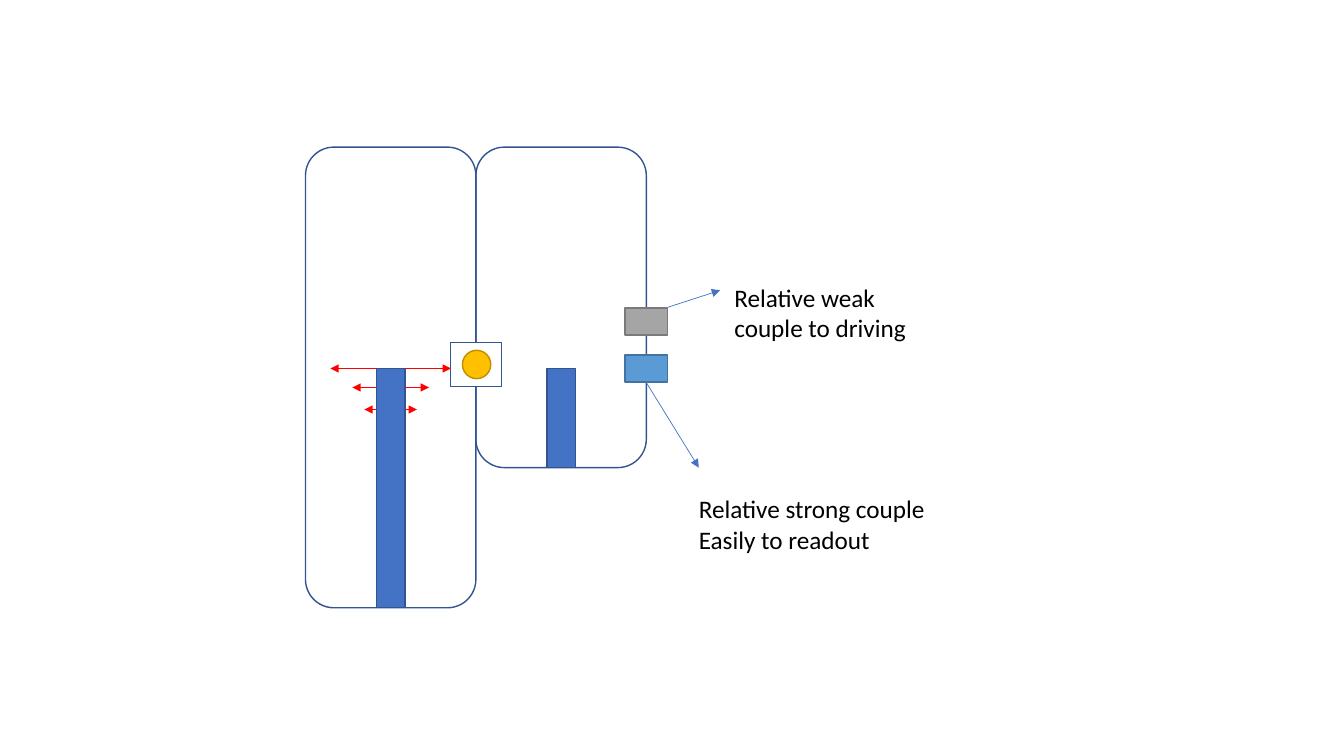
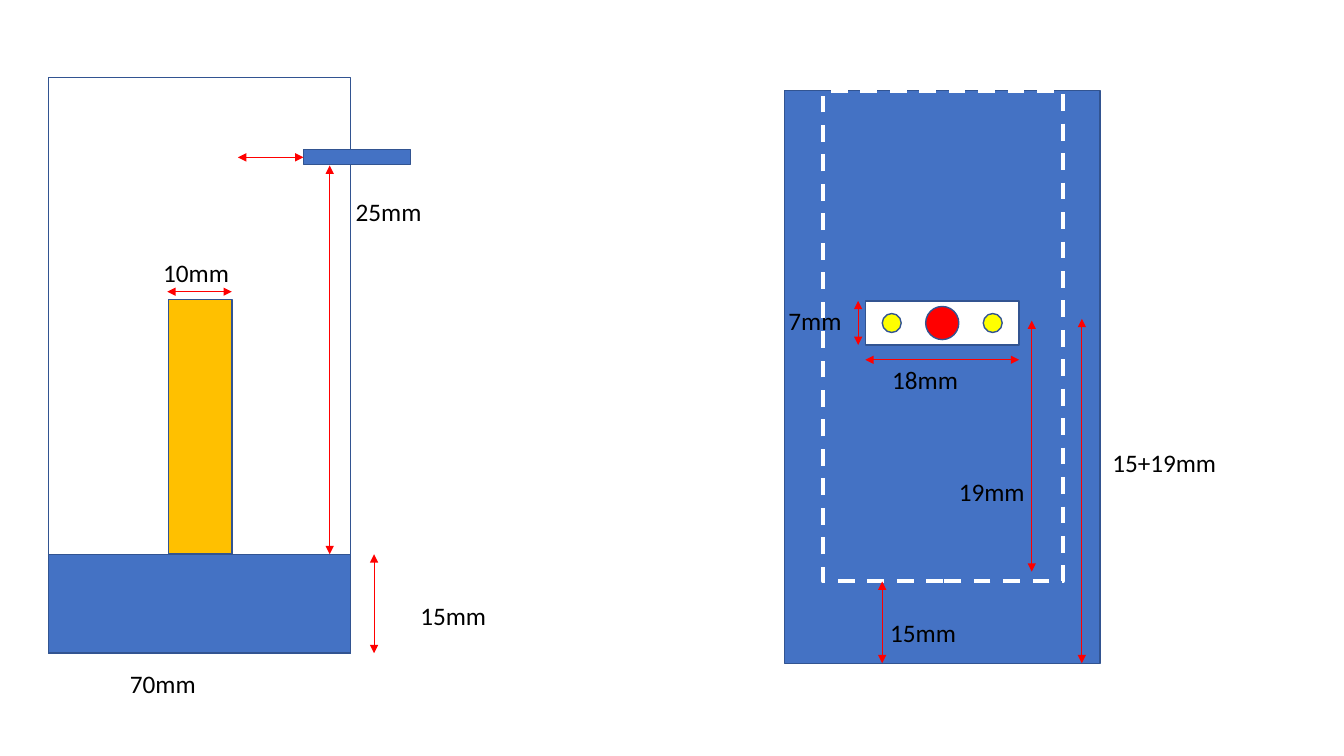
from dataclasses import dataclass

from pptx import Presentation
from pptx import util as u
from pptx.dml.color import RGBColor
from pptx.enum import dml, shapes, text
from pptx.oxml import parse_xml
from pptx.oxml.ns import nsdecls


@dataclass(frozen=True)
class Theme:
    font: str = "Calibri"
    size: int = 18
    ink: str = "000000"
    white: str = "FFFFFF"
    blue: str = "4472C4"
    edge: str = "325491"
    gold: str = "FFC000"
    ochre: str = "BD8E00"
    sky: str = "5B9BD5"
    steel: str = "43739E"
    gray: str = "A5A5A5"
    slate: str = "7A7A7A"
    red: str = "FF0000"
    yellow: str = "FFFF00"
    thin: float = 0.5
    line: float = 1
    thick: float = 3


T = Theme()
KIND = shapes.MSO_SHAPE


@dataclass
class Pane:
    """A box on a slide, in inches, cut into columns and rows."""
    slide: object
    left: float
    top: float
    width: float
    height: float
    cols: int
    rows: int

    def wide(self, n):
        return u.Inches(n * self.width / self.cols)

    def high(self, n):
        return u.Inches(n * self.height / self.rows)

    def spot(self, x, y):
        return u.Inches(self.left) + self.wide(x), u.Inches(self.top) + self.high(y)

    def draw(self, kind, spot, size, fill, edge, width):
        shape = self.slide.shapes.add_shape(kind, *spot, *size)
        shape.shadow.inherit = False
        if fill:
            shape.fill.solid()
            shape.fill.fore_color.rgb = RGBColor.from_string(fill)
        else:
            shape.fill.background()
        shape.line.color.rgb = RGBColor.from_string(edge)
        shape.line.width = u.Pt(width)
        return shape

    def rect(self, x, y, w, h, fill=None, edge=T.edge, width=T.line, kind=KIND.RECTANGLE):
        size = self.wide(w), self.high(h)
        return self.draw(kind, self.spot(x, y), size, fill, edge, width)

    def block(self, x, y, w, h, fill, edge=T.edge):
        """A rectangle centred on a point."""
        return self.rect(x - w / 2, y - h / 2, w, h, fill, edge)

    def disc(self, x, y, w, fill, edge=T.edge):
        """A circle centred on a point, its diameter given in columns."""
        side = self.wide(w)
        left, top = self.spot(x, y)
        spot = left - side // 2, top - side // 2
        return self.draw(KIND.OVAL, spot, (side, side), fill, edge, T.line)

    def arrow(self, start, end, color=T.red, width=T.thin, both=True):
        link = self.slide.shapes.add_connector(
            shapes.MSO_CONNECTOR.STRAIGHT, *self.spot(*start), *self.spot(*end))
        link.line.color.rgb = RGBColor.from_string(color)
        link.line.width = u.Pt(width)
        outline = link.line._get_or_add_ln()
        for tag in ("headEnd", "tailEnd") if both else ("tailEnd",):
            outline.append(parse_xml(f'<a:{tag} {nsdecls("a")} type="triangle"/>'))
        link._element.spPr.append(parse_xml(f'<a:effectLst {nsdecls("a")}/>'))

    def label(self, x, y, w, *lines):
        size = self.wide(w), u.Inches(0.1 + 0.3 * len(lines))
        frame = self.slide.shapes.add_textbox(*self.spot(x, y), *size).text_frame
        frame.word_wrap = True
        frame.auto_size = text.MSO_AUTO_SIZE.SHAPE_TO_FIT_TEXT
        frame.text = "\n".join(lines)
        for par in frame.paragraphs:
            par.font.name = T.font
            par.font.size = u.Pt(T.size)
            par.font.color.rgb = RGBColor.from_string(T.ink)


def pair(slide):
    """Two coupled cavities with their ports."""
    box = Pane(slide, 3.03, 1.46, 3.38, 4.57, cols=24, rows=46)
    tip = 22.1

    # Cavities, each with a pin on its floor
    floors = 46, 32
    for i, floor in enumerate(floors):
        box.rect(12 * i, 0, 12, floor, kind=KIND.ROUNDED_RECTANGLE)
        box.rect(12 * i + 5, tip, 2, floor - tip, T.blue)

    # Coupling window
    box.block(12, 21.7, 3.6, 4.4, T.white)
    box.disc(12.05, 21.7, 2, T.gold, T.ochre)

    # Field at the tall pin
    for y, reach in ((tip, 3.25), (24, 1.7), (26.2, 0.85)):
        box.arrow((5, y), (5 - reach, y), both=False)
        box.arrow((7, y), (7 + reach, y), both=False)

    # Ports and their notes
    box.block(24, 22.1, 3, 2.7, T.sky, T.steel)
    box.block(24, 17.4, 3, 2.7, T.gray, T.slate)
    box.arrow((24, 23.5), (27.7, 32), T.blue, both=False)
    box.arrow((25.5, 16), (29.2, 14.3), T.blue, both=False)
    box.label(27, 34.1, 17.6, "Relative strong couple", "Easily to readout")
    box.label(29.5, 13, 16.4, "Relative weak couple to driving")


def side(slide):
    """Cavity seen from the side, with its sizes."""
    box = Pane(slide, 0.48, 0.77, 3, 5.71, cols=30, rows=57)
    floor, end = 47.2, 57

    # Walls, base, post and probe
    box.rect(0, 0, 30, end)
    box.rect(0, floor, 30, end - floor, T.blue)
    box.rect(11.9, 22, 6.3, floor - 22, T.gold)
    box.rect(25.3, 7.1, 10.6, 1.5, T.blue)

    # Sizes
    box.arrow((18.8, 7.9), (25.3, 7.9), width=T.line)
    box.arrow((11.8, 21.2), (18.2, 21.2), width=T.line)
    box.arrow((27.9, 8.7), (27.9, floor))
    box.arrow((32.3, floor), (32.3, end))
    for x, y, words in ((10.4, 17.3, "10mm"), (29.5, 11.3, "25mm"),
                        (35.9, 51.3, "15mm"), (7.1, 58, "70mm")):
        box.label(x, y, 10.6, words)


def front(slide):
    """Cavity seen from the front, with its slot and sizes."""
    box = Pane(slide, 7.78, 0.9, 3.13, 5.68, cols=8, rows=7)
    mid, level = 4, 2.84
    wide, high = 3.9, 0.54
    left, top = mid - wide / 2, level - high / 2

    # Body, slot and pins
    box.rect(0, 0, 8, 7, T.blue)
    box.block(mid, level, wide, high, T.white)
    box.disc(mid, level, 0.84, T.red)
    for step in (-1.28, 1.28):
        box.disc(mid + step, level, 0.48, T.yellow)

    # Hidden hollow
    hollow = box.rect(0.98, 0, 6.08, 6, edge=T.white, width=T.thick)
    hollow.line.dash_style = dml.MSO_LINE.DASH

    # Sizes
    box.arrow((left, 3.29), (left + wide, 3.29), width=T.line)
    for x, start, end in ((1.87, top, top + high), (2.48, 6, 7),
                          (6.27, 2.81, 5.88), (7.54, 2.79, 7)):
        box.arrow((x, start), (x, end))
    for x, y, words in ((-0.15, 2.56, "7mm"), (2.48, 3.29, "18mm"),
                        (2.43, 6.38, "15mm"), (4.17, 4.65, "19mm"),
                        (8.06, 4.3, "15+19mm")):
        box.label(x, y, 4.6 if "+" in words else 2.7, words)


def main():
    deck = Presentation()
    deck.slide_width, deck.slide_height = u.Inches(13.33), u.Inches(7.5)
    for parts in ((pair,), (side, front)):
        slide = deck.slides.add_slide(deck.slide_layouts[6])
        for part in parts:
            part(slide)
    deck.save("out.pptx")


if __name__ == "__main__":
    main()
